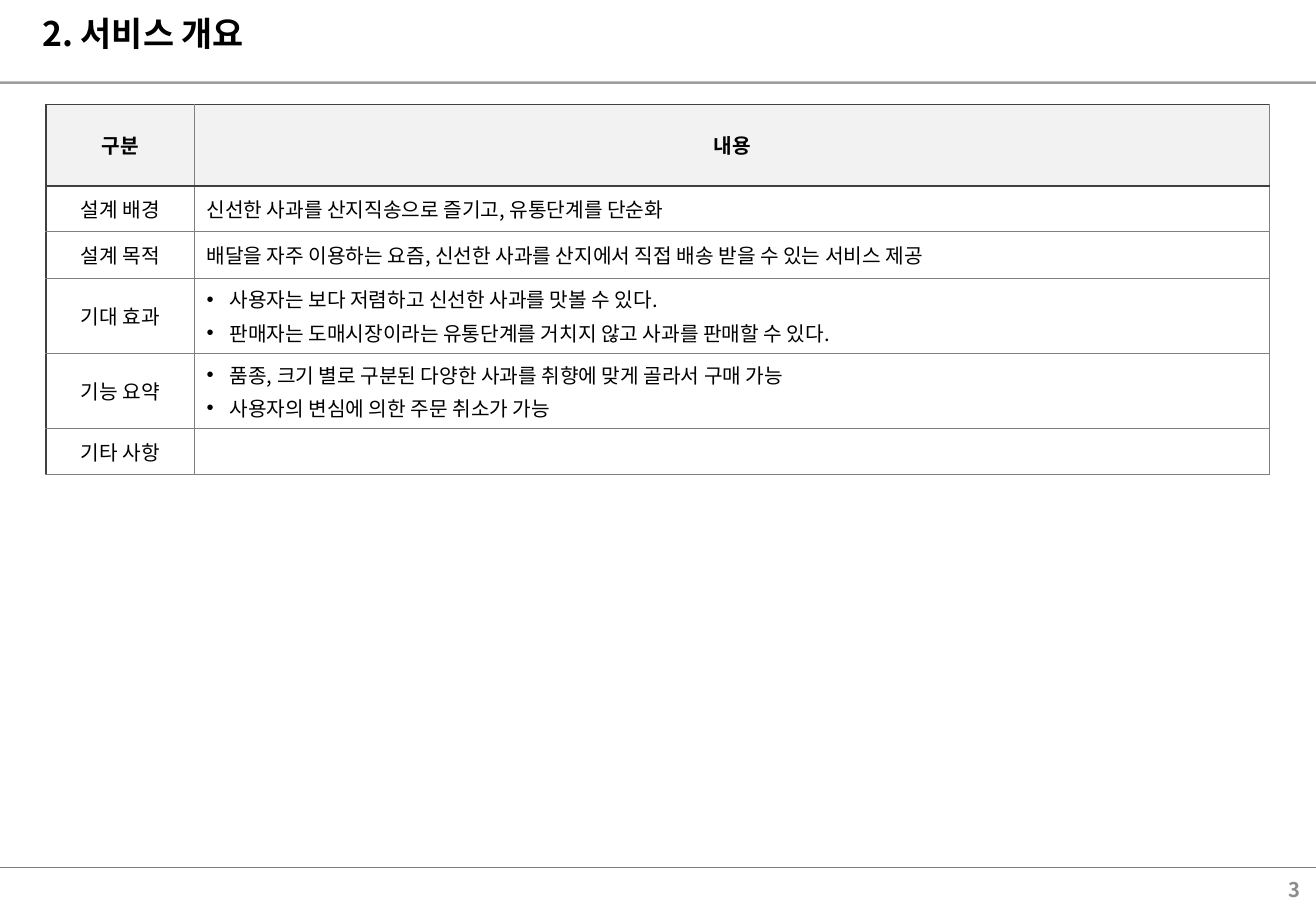
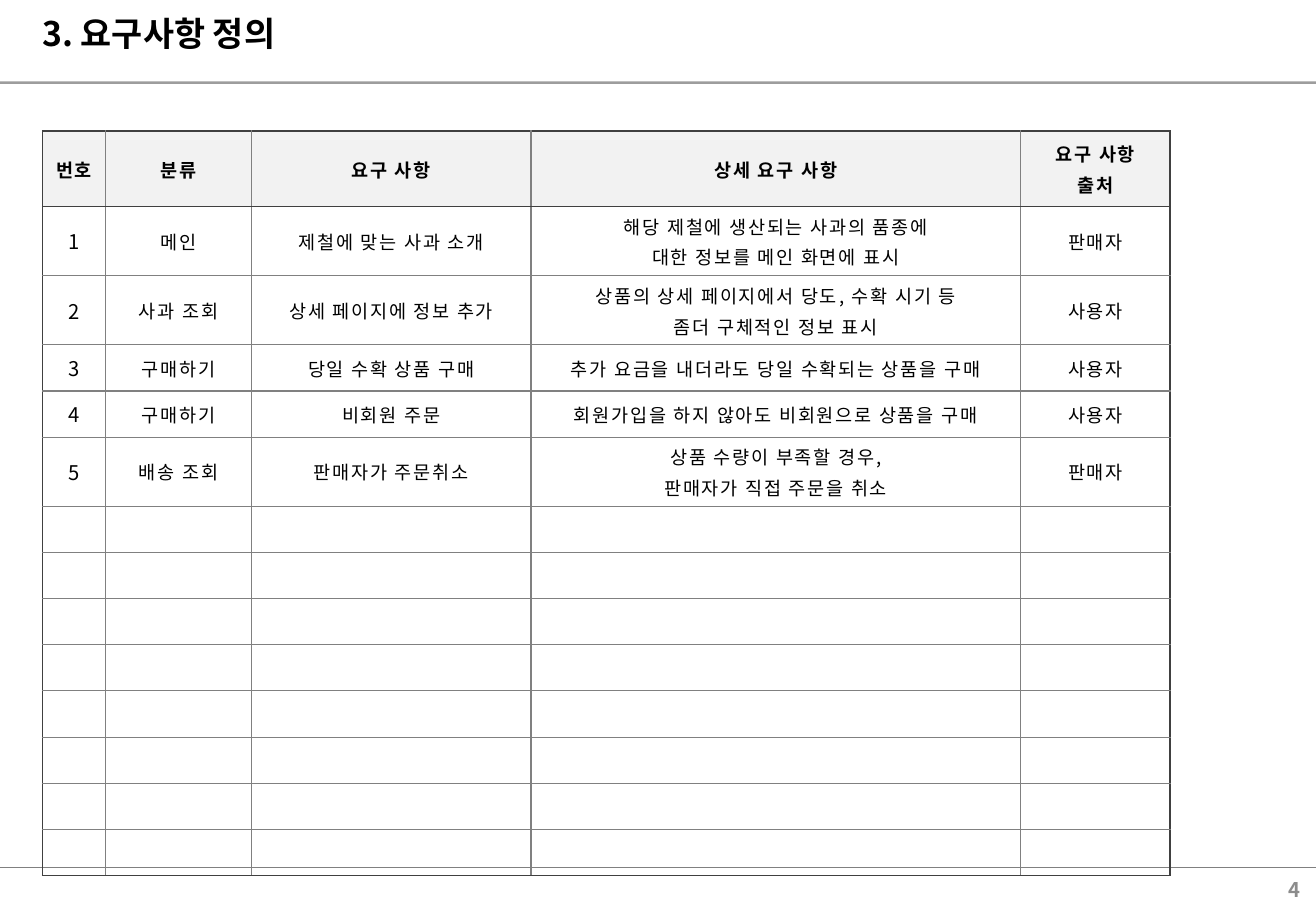
from lxml import etree
from pptx import Presentation
from pptx.dml.color import RGBColor
from pptx.enum.shapes import MSO_CONNECTOR
from pptx.enum.text import MSO_ANCHOR, PP_ALIGN
from pptx.oxml.ns import qn
from pptx.util import Pt

PX = 9144  # one px is a hundredth of an inch
WIDTH, HEIGHT = 1083, 750
FONT = "Noto Sans CJK KR"
BLACK = RGBColor(0x00, 0x00, 0x00)
DARK = RGBColor(0x40, 0x40, 0x40)
GRAY = RGBColor(0x80, 0x80, 0x80)
NUMBER_GRAY = RGBColor(0x8C, 0x8C, 0x8C)
HEADER_FILL = RGBColor(0xF2, 0xF2, 0xF2)
LEFT, CENTER, RIGHT = PP_ALIGN.LEFT, PP_ALIGN.CENTER, PP_ALIGN.RIGHT
TOP, MIDDLE = MSO_ANCHOR.TOP, MSO_ANCHOR.MIDDLE
STRAIGHT = MSO_CONNECTOR.STRAIGHT


def write_text(frame, text, size=12, bold=False, color=BLACK, align=LEFT,
               spacing=0, bullets=False, line_spacing=None):
    """Write one paragraph per line of text."""
    for index, line in enumerate(text.split("\n")):
        para = frame.add_paragraph() if index else frame.paragraphs[0]
        para.alignment = align
        para.line_spacing = line_spacing
        if index:
            para.space_before = Pt(size * 0.2)
        if bullets:
            props = para._p.get_or_add_pPr()
            props.set("marL", str(19 * PX))
            props.set("indent", str(-19 * PX))
            etree.SubElement(props, qn("a:buFont"), typeface="Arial")
            etree.SubElement(props, qn("a:buChar"), char="•")
        if not line:
            etree.SubElement(para._p, qn("a:endParaRPr"), sz=str(size * 100))
            continue
        span = para.add_run()
        span.text = line
        span.font.size = Pt(size)
        span.font.bold = bold
        span.font.name = FONT
        span.font.color.rgb = color
        props = span._r.get_or_add_rPr()
        etree.SubElement(props, qn("a:ea"), typeface=FONT)
        if spacing:
            props.set("spc", str(spacing * 100))


def set_border(cell, side, dark):
    """Draw one side (L, R, T or B) of a table cell."""
    line = etree.SubElement(cell._tc.get_or_add_tcPr(), qn("a:ln" + side),
                            w=str(Pt(1 if dark else 0.75)))
    fill = etree.SubElement(line, qn("a:solidFill"))
    etree.SubElement(fill, qn("a:srgbClr"), val=str(DARK if dark else GRAY))


# Content of the slides
overview = {
    "title": "2. 서비스 개요", "number": "3",
    "left": 38, "top": 86, "columns": [122, 885],
    "heights": [67, 38, 38, 62, 62, 38],
    "margin": 10, "size": 12, "number_size": 12, "spacing": 0,
    "closed": False, "prose_column": 1,
    "rows": [
        ("구분", "내용"),
        ("설계 배경", "신선한 사과를 산지직송으로 즐기고, 유통단계를 단순화"),
        ("설계 목적", "배달을 자주 이용하는 요즘, 신선한 사과를 산지에서 직접 배송 받을 수 있는 서비스 제공"),
        ("기대 효과", "사용자는 보다 저렴하고 신선한 사과를 맛볼 수 있다.\n"
                  "판매자는 도매시장이라는 유통단계를 거치지 않고 사과를 판매할 수 있다."),
        ("기능 요약", "품종, 크기 별로 구분된 다양한 사과를 취향에 맞게 골라서 구매 가능\n"
                  "사용자의 변심에 의한 주문 취소가 가능"),
        ("기타 사항", ""),
    ],
}
requirements = {
    "title": "3. 요구사항 정의", "number": "4",
    "left": 35, "top": 108, "columns": [52, 120, 230, 403, 123],
    "heights": [62, 57, 57, 38, 38, 57] + [38] * 8,
    "margin": 9, "size": 11, "number_size": 12, "spacing": 1,
    "closed": True, "prose_column": None,
    "rows": [
        ("번호", "분류", "요구 사항", "상세 요구 사항", "요구 사항\n출처"),
        ("1", "메인", "제철에 맞는 사과 소개",
         "해당 제철에 생산되는 사과의 품종에\n대한 정보를 메인 화면에 표시", "판매자"),
        ("2", "사과 조회", "상세 페이지에 정보 추가",
         "상품의 상세 페이지에서 당도, 수확 시기 등\n좀더 구체적인 정보 표시", "사용자"),
        ("3", "구매하기", "당일 수확 상품 구매",
         "추가 요금을 내더라도 당일 수확되는 상품을 구매", "사용자"),
        ("4", "구매하기", "비회원 주문",
         "회원가입을 하지 않아도 비회원으로 상품을 구매", "사용자"),
        ("5", "배송 조회", "판매자가 주문취소",
         "상품 수량이 부족할 경우,\n판매자가 직접 주문을 취소", "판매자"),
    ] + [("",) * 5] * 8,
}

deck = Presentation()
deck.slide_width, deck.slide_height = WIDTH * PX, HEIGHT * PX

for content in (overview, requirements):
    page = deck.slides.add_slide(deck.slide_layouts[6])

    # Rules below the title and above the page number
    for y, weight, alpha in ((68, 1.5, 76), (714, 0.75, 100)):
        rule = page.shapes.add_connector(STRAIGHT, 0, y * PX, WIDTH * PX, y * PX)
        rule.line.color.rgb = GRAY
        rule.line.width = Pt(weight)
        if alpha < 100:
            color = rule._element.spPr.find(".//" + qn("a:srgbClr"))
            etree.SubElement(color, qn("a:alpha"), val=str(alpha * 1000))
        etree.SubElement(rule._element.spPr, qn("a:effectLst"))

    # Title and page number
    for text, place, anchor, style in (
        (content["title"], (25, 9, 1043, 49), TOP,
         {"size": 20, "line_spacing": 0.9}),
        (content["number"], (836, 717, 244, 31), MIDDLE,
         {"color": NUMBER_GRAY, "align": RIGHT}),
    ):
        box = page.shapes.add_textbox(*(length * PX for length in place))
        box.text_frame.word_wrap = True
        box.text_frame.vertical_anchor = anchor
        write_text(box.text_frame, text, bold=True, **style)

    # Table
    rows, columns, heights = content["rows"], content["columns"], content["heights"]
    table = page.shapes.add_table(
        len(rows), len(columns), content["left"] * PX, content["top"] * PX,
        sum(columns) * PX, sum(heights) * PX).table
    table.first_row = table.horz_banding = False
    for column, width in zip(table.columns, columns):
        column.width = width * PX
    for row, height in zip(table.rows, heights):
        row.height = height * PX

    for r, texts in enumerate(rows):
        for c, text in enumerate(texts):
            cell = table.cell(r, c)
            header = r == 0
            prose = c == content["prose_column"] and not header
            cell.vertical_anchor = MIDDLE
            cell.margin_left = cell.margin_right = content["margin"] * PX
            cell.margin_top = cell.margin_bottom = 5 * PX
            write_text(cell.text_frame, text, bold=header,
                       size=content["number_size" if text.isdigit() else "size"],
                       align=LEFT if prose else CENTER,
                       spacing=content["spacing"],
                       bullets=prose and "\n" in text)

            # Dark frame and header rule, gray inner lines
            last_column = c == len(columns) - 1
            last_row = r == len(rows) - 1
            set_border(cell, "L", c == 0)
            set_border(cell, "R", last_column and content["closed"])
            set_border(cell, "T", r <= 1)
            set_border(cell, "B", header or last_row and content["closed"])
            if header:
                cell.fill.solid()
                cell.fill.fore_color.rgb = HEADER_FILL
            else:
                cell.fill.background()

deck.save("out.pptx")
